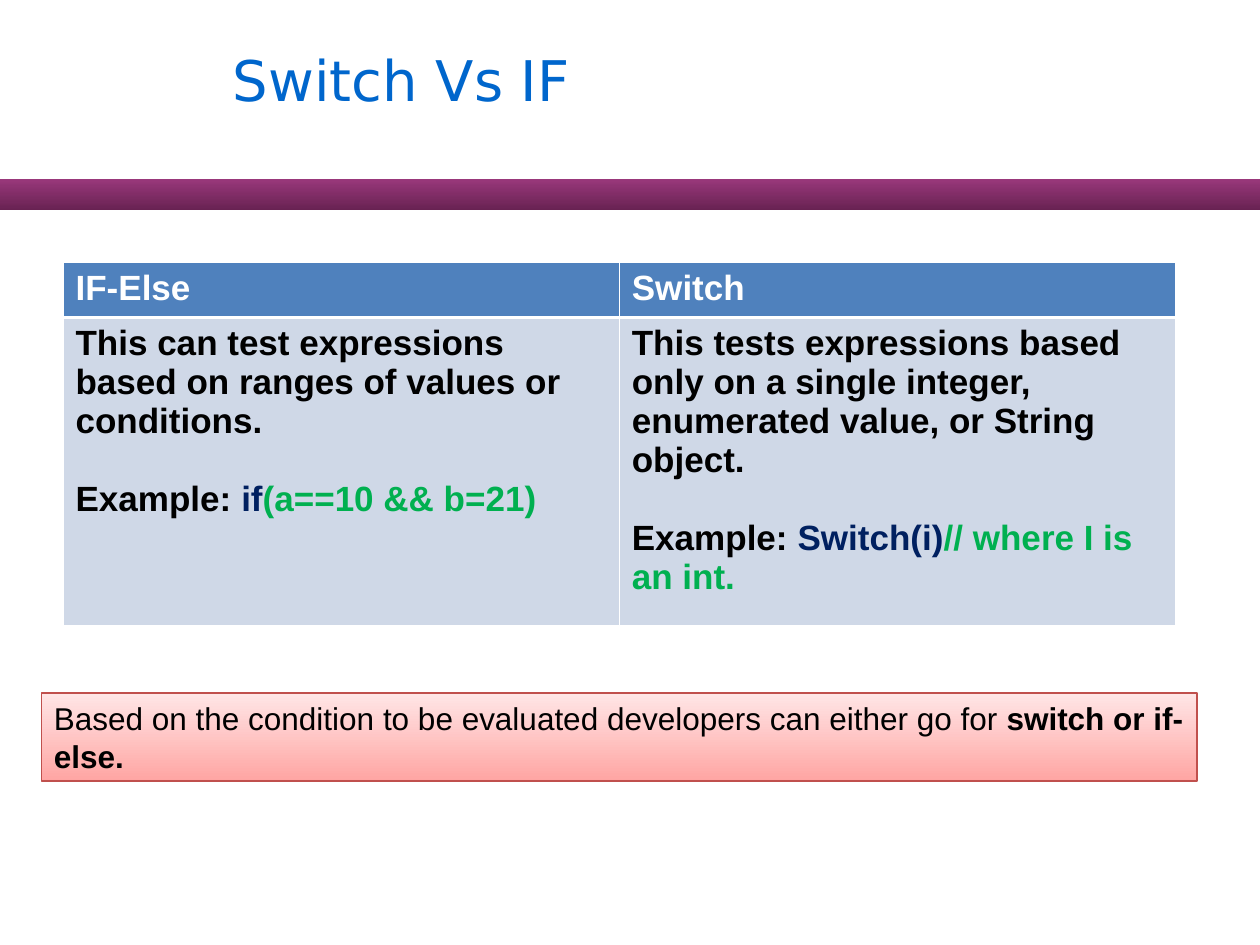
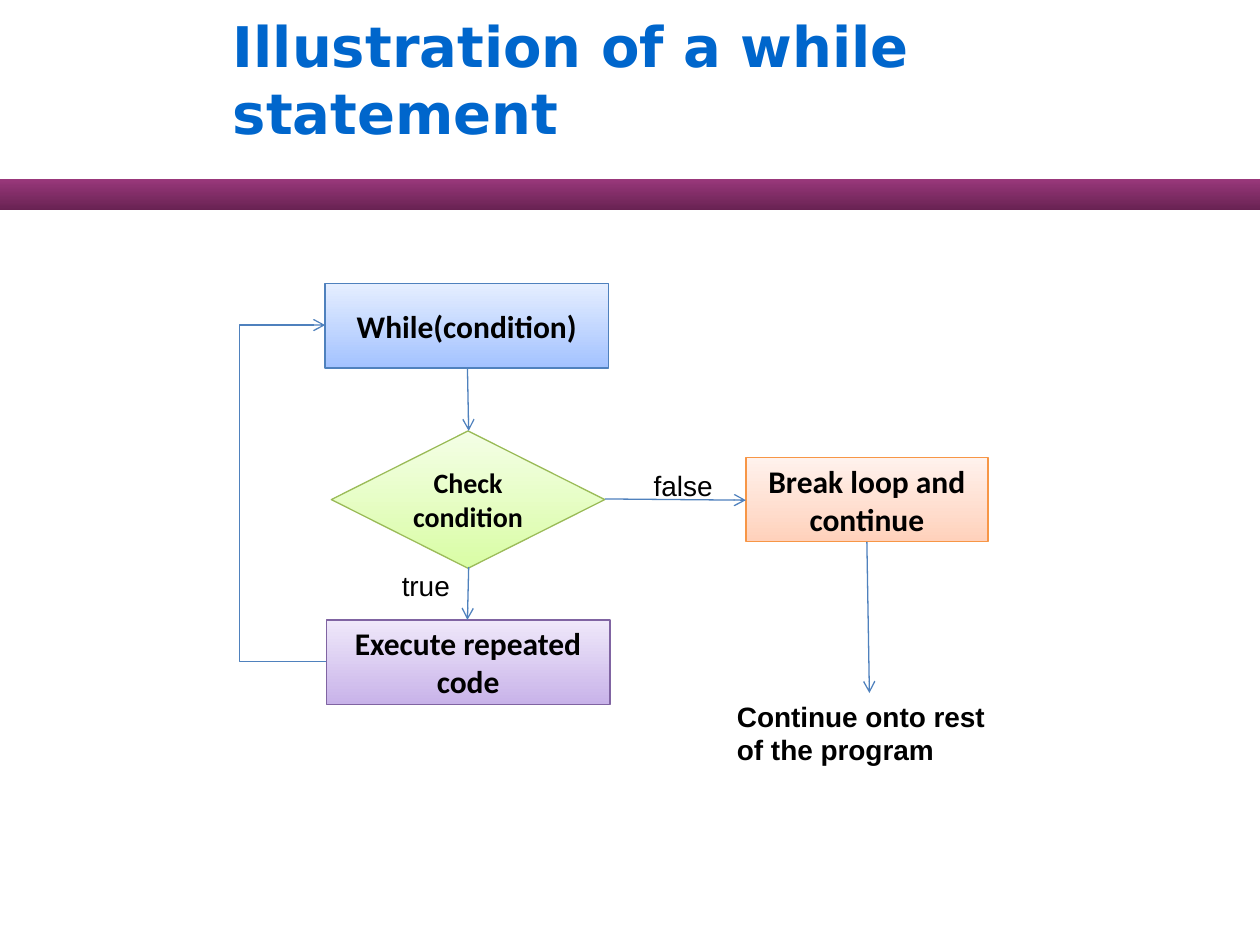
from lxml.etree import SubElement
from pptx import Presentation
from pptx.dml.color import RGBColor
from pptx.enum.shapes import MSO_CONNECTOR, MSO_SHAPE
from pptx.enum.text import MSO_ANCHOR, PP_ALIGN
from pptx.oxml.ns import qn
from pptx.util import Inches, Pt

WHITE = RGBColor(0xFF, 0xFF, 0xFF)
BLACK = RGBColor(0, 0, 0)
TITLE_BLUE = RGBColor(0x00, 0x66, 0xCC)
BAND_DARK = RGBColor(0x68, 0x22, 0x52)
BAND_LIGHT = RGBColor(0x99, 0x38, 0x7B)
BLUE = RGBColor(0x4F, 0x81, 0xBD)
BLUE_DEEP = RGBColor(0xA3, 0xC2, 0xFF)
BLUE_PALE = RGBColor(0xE5, 0xEE, 0xFF)
GREEN = RGBColor(0x9B, 0xBB, 0x59)
GREEN_DEEP = RGBColor(0xD9, 0xFD, 0xA5)
GREEN_PALE = RGBColor(0xF4, 0xFE, 0xE6)
PURPLE = RGBColor(0x80, 0x64, 0xA2)
PURPLE_DEEP = RGBColor(0xC8, 0xB3, 0xE9)
PURPLE_PALE = RGBColor(0xEF, 0xE8, 0xFA)
ORANGE = RGBColor(0xF7, 0x96, 0x46)
ORANGE_DEEP = RGBColor(0xFF, 0xD1, 0xBB)
ORANGE_PALE = RGBColor(0xFF, 0xF2, 0xED)
RED = RGBColor(0xC0, 0x50, 0x4D)
RED_DEEP = RGBColor(0xFF, 0xA5, 0xA3)
RED_PALE = RGBColor(0xFF, 0xE6, 0xE6)
CELL_FILL = RGBColor(0xCF, 0xD8, 0xE7)
KEYWORD_NAVY = RGBColor(0x00, 0x20, 0x60)
CODE_GREEN = RGBColor(0x00, 0xB0, 0x50)


def write_text(frame, paragraphs, size=16, font="Arial", color=BLACK, bold=False,
               align=PP_ALIGN.LEFT, anchor=MSO_ANCHOR.TOP, wrap=True, gap=0):
    frame.word_wrap = wrap
    frame.vertical_anchor = anchor
    if isinstance(paragraphs, str):
        paragraphs = [[(paragraphs, {})]]
    for index, spans in enumerate(paragraphs):
        para = frame.paragraphs[0] if index == 0 else frame.add_paragraph()
        para.alignment = align
        if index:
            para.space_before = Pt(gap)
        for text, changes in spans:
            span = para.add_run()
            span.text = text
            span.font.size = Pt(size)
            span.font.name = font
            span.font.bold = changes.get("bold", bold)
            span.font.color.rgb = changes.get("color", color)


def add_gradient_shape(page, kind, place, deep, pale, outline=None):
    shape = page.shapes.add_shape(kind, *map(Inches, place))
    shape.shadow.inherit = False
    shape.fill.gradient()
    shape.fill.gradient_angle = 90
    for stop, color, position in zip(shape.fill.gradient_stops, (deep, pale), (0, 1)):
        stop.color.rgb = color
        stop.position = position
    if outline is None:
        shape.line.fill.background()
    else:
        shape.line.color.rgb = outline
        shape.line.width = Pt(0.75)
    return shape


deck = Presentation()
deck.slide_width = Inches(10)
deck.slide_height = Inches(7.5)

pages = []
for title, bold in (("Switch Vs IF", False), ("Illustration of a while statement", True)):
    page = deck.slides.add_slide(deck.slide_layouts[6])
    add_gradient_shape(page, MSO_SHAPE.RECTANGLE, (0, 1.42, 10, 0.25), BAND_DARK, BAND_LIGHT)
    box = page.shapes.add_textbox(Inches(1.75), 0, Inches(8.25), Inches(1.25))
    write_text(box.text_frame, title, size=32, font="DejaVu Sans", color=TITLE_BLUE,
               bold=bold, anchor=MSO_ANCHOR.MIDDLE)
    pages.append(page)
comparison_page, while_page = pages

table = comparison_page.shapes.add_table(
    2, 2, Inches(0.5), Inches(2.08), Inches(8.83), Inches(2.87)).table
table.horz_banding = False
table.rows[0].height = Inches(0.44)
table.rows[1].height = Inches(2.44)
comparison = [
    ("IF-Else", "This can test expressions based on ranges of values or conditions.",
     "if", "(a==10 && b=21)"),
    ("Switch", "This tests expressions based only on a single integer, "
     "enumerated value, or String object.", "Switch(i)", "// where I is an int."),
]
for column, (heading, description, keyword, code) in enumerate(comparison):
    example = [("Example: ", {}), (keyword, {"color": KEYWORD_NAVY}),
               (code, {"color": CODE_GREEN})]
    write_text(table.cell(0, column).text_frame, heading, size=20, color=WHITE, bold=True)
    write_text(table.cell(1, column).text_frame, [[(description, {})], example],
               size=20, bold=True, gap=22.4)
    for row, fill in enumerate((BLUE, CELL_FILL)):
        cell = table.cell(row, column)
        properties = cell._tc.get_or_add_tcPr()
        for side in ("lnL", "lnR", "lnT", "lnB"):
            inner = (row, side) in ((0, "lnB"), (1, "lnT"))
            border = SubElement(properties, qn(f"a:{side}"), w=str(Pt(1.47 if inner else 0.45)))
            paint = SubElement(border, qn("a:solidFill"))
            SubElement(paint, qn("a:srgbClr"), val=str(WHITE))
        cell.fill.solid()
        cell.fill.fore_color.rgb = fill

advice = add_gradient_shape(comparison_page, MSO_SHAPE.RECTANGLE, (0.33, 5.5, 9.17, 0.7),
                            RED_DEEP, RED_PALE, RED)
write_text(advice.text_frame, [[
    ("Based on the condition to be evaluated developers can either go for ", {}),
    ("switch or if-else.", {"bold": True})]], size=18)

PROCESS = MSO_SHAPE.FLOWCHART_PROCESS
DECISION = MSO_SHAPE.FLOWCHART_DECISION
steps = [
    ("While(condition)", PROCESS, (2.58, 2.25, 2.25, 0.67), 18, BLUE_DEEP, BLUE_PALE, BLUE),
    ("Check condition", DECISION, (2.63, 3.42, 2.17, 1.09), 16, GREEN_DEEP, GREEN_PALE, GREEN),
    ("Execute repeated code", PROCESS, (2.59, 4.92, 2.25, 0.67), 18,
     PURPLE_DEEP, PURPLE_PALE, PURPLE),
    ("Break loop and continue", PROCESS, (5.92, 3.63, 1.92, 0.67), 18,
     ORANGE_DEEP, ORANGE_PALE, ORANGE),
]
for text, kind, place, size, deep, pale, outline in steps:
    step = add_gradient_shape(while_page, kind, place, deep, pale, outline)
    write_text(step.text_frame, text, size=size, font="Calibri", bold=True,
               align=PP_ALIGN.CENTER, anchor=MSO_ANCHOR.MIDDLE)

STRAIGHT = MSO_CONNECTOR.STRAIGHT
arrows = [
    (STRAIGHT, 3.71, 2.92, 3.72, 3.42),
    (STRAIGHT, 3.72, 4.5, 3.71, 4.92),
    (STRAIGHT, 4.8, 3.96, 5.92, 3.97),
    (STRAIGHT, 6.88, 4.3, 6.9, 5.5),
    (MSO_CONNECTOR.ELBOW, 2.58, 2.58, 2.59, 5.25),
]
for kind, *ends in arrows:
    arrow = while_page.shapes.add_connector(kind, *map(Inches, ends))
    arrow.line.color.rgb = BLUE
    arrow.line.width = Pt(0.75)
    SubElement(arrow.line._get_or_add_ln(), qn("a:tailEnd"), type="arrow")
    properties = arrow._element.spPr
    SubElement(properties, qn("a:effectLst"))
    if kind == MSO_CONNECTOR.ELBOW:
        properties.find(qn("a:xfrm")).set("rot", str(180 * 60000))
        adjustments = properties.find(qn("a:prstGeom")).find(qn("a:avLst"))
        loop_reach = round(0.7 / 0.01 * 100000)
        SubElement(adjustments, qn("a:gd"), name="adj1", fmla=f"val {loop_reach}")

labels = [
    ("false", (5.09, 3.67, 0.67, 0.37), False, False),
    ("true", (3.09, 4.46, 0.58, 0.37), False, False),
    ("Continue onto rest of the program", (5.75, 5.5, 2.31, 0.64), True, True),
]
for text, place, bold, wrap in labels:
    label = while_page.shapes.add_textbox(*map(Inches, place))
    write_text(label.text_frame, text, bold=bold, wrap=wrap)

deck.save("out.pptx")
